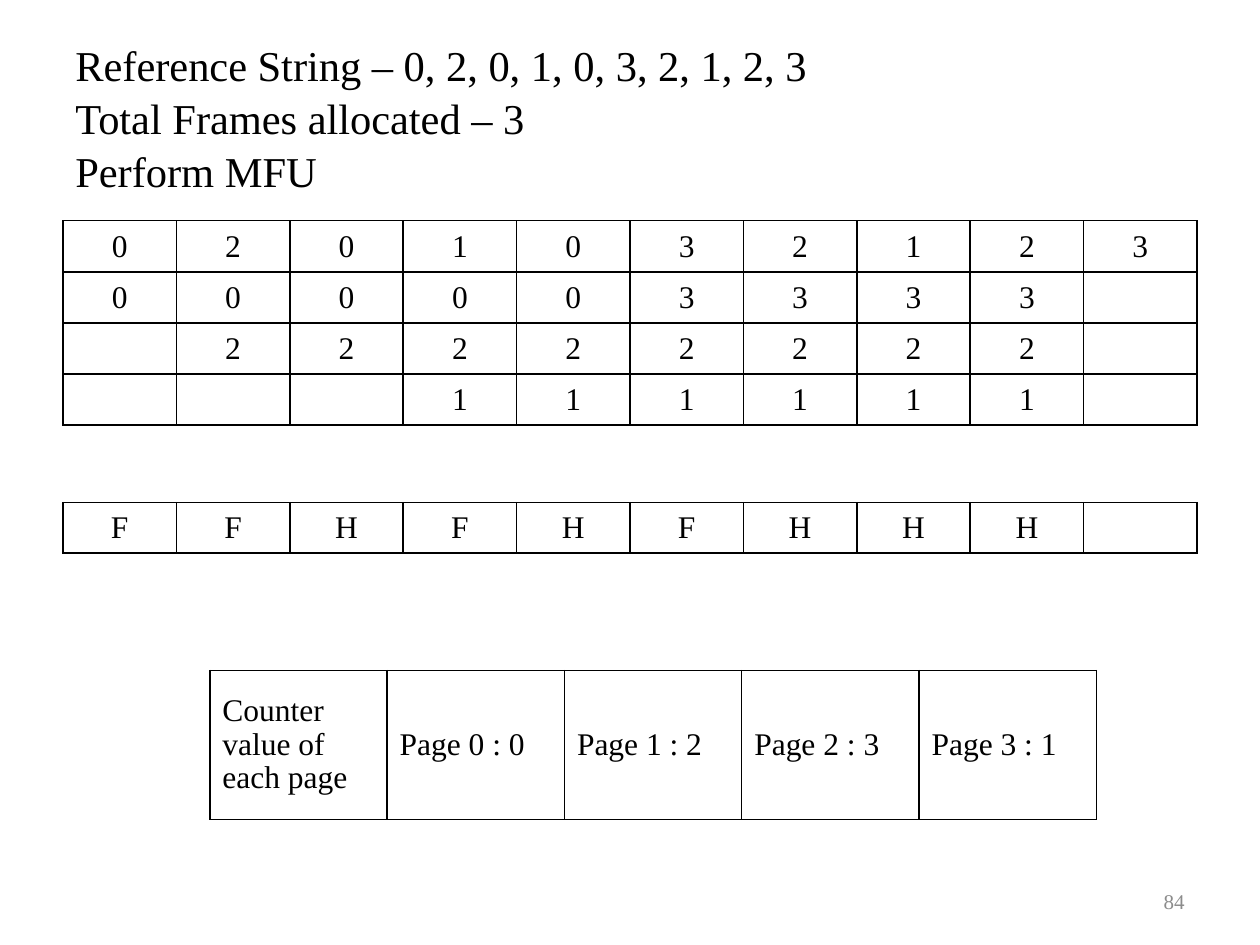
from lxml.etree import SubElement
from pptx import Presentation
from pptx.dml.color import RGBColor
from pptx.enum.text import MSO_ANCHOR, PP_ALIGN
from pptx.oxml.ns import qn
from pptx.util import Cm, Pt

BLACK = RGBColor(0x00, 0x00, 0x00)
GRAY = RGBColor(0x8C, 0x8C, 0x8C)

REFERENCES = "0201032123"
FRAMES = ["000003333 ", " 22222222 ", "   111111 "]
RESULTS = "FFHFHFHHH "
COUNTERS = ["Counter value of each page", "Page 0 : 0", "Page 1 : 2",
            "Page 2 : 3", "Page 3 : 1"]


def write_text(frame, text, size=18, color=BLACK, align=PP_ALIGN.LEFT,
               spacing=1.0, font="Times New Roman"):
    paragraph = frame.paragraphs[0]
    paragraph.text = text
    paragraph.alignment = align
    paragraph.line_spacing = spacing
    paragraph.font.name = font
    paragraph.font.size = Pt(size)
    paragraph.font.color.rgb = color
    for run in paragraph.runs:
        run.font.name = font
        run.font.size = Pt(size)
        run.font.color.rgb = color


def add_borders(cell, color=BLACK, width=1):
    properties = cell._tc.get_or_add_tcPr()
    for position, side in enumerate(("a:lnL", "a:lnR", "a:lnT", "a:lnB")):
        line = SubElement(properties, qn(side), w=str(Pt(width)))
        fill = SubElement(line, qn("a:solidFill"))
        SubElement(fill, qn("a:srgbClr"), val=str(color))
        properties.remove(line)
        properties.insert(position, line)


class SlideBuilder:
    """Holds the current slide and draws its text boxes and tables."""

    def __init__(self, presentation):
        self.slide = presentation.slides.add_slide(presentation.slide_layouts[6])

    def text_box(self, text, left, top, width, height, **style):
        shape = self.slide.shapes.add_textbox(Cm(left), Cm(top), Cm(width), Cm(height))
        shape.text_frame.word_wrap = True
        shape.text_frame.vertical_anchor = MSO_ANCHOR.MIDDLE
        write_text(shape.text_frame, text, **style)

    def table(self, rows, left, top, width, height, **style):
        shape = self.slide.shapes.add_table(
            len(rows), len(rows[0]), Cm(left), Cm(top), Cm(width), Cm(height))
        table = shape.table
        table.first_row = table.horz_banding = False
        for row_index, row in enumerate(rows):
            for column_index, text in enumerate(row):
                cell = table.cell(row_index, column_index)
                cell.fill.background()
                cell.vertical_anchor = MSO_ANCHOR.MIDDLE
                add_borders(cell)
                write_text(cell.text_frame, text.strip(), **style)


def main():
    presentation = Presentation()
    presentation.slide_width = Cm(25.4)
    presentation.slide_height = Cm(19.05)

    builder = SlideBuilder(presentation)
    builder.text_box(
        "Reference String – 0, 2, 0, 1, 0, 3, 2, 1, 2, 3\v"
        "Total Frames allocated – 3\vPerform MFU",
        1.27, 0.76, 22.86, 3.18, size=24.3, spacing=1.04)
    builder.table([REFERENCES, *FRAMES], 1.27, 4.45, 22.86, 4.12,
                  align=PP_ALIGN.CENTER)
    builder.table([RESULTS], 1.27, 10.13, 22.86, 1,
                  align=PP_ALIGN.CENTER)
    builder.table([COUNTERS], 4.23, 13.52, 17.87, 3, spacing=0.95)
    builder.text_box("84", 18.2, 17.66, 5.93, 1.01, size=12, color=GRAY,
                     align=PP_ALIGN.RIGHT)

    presentation.save("out.pptx")


if __name__ == "__main__":
    main()
